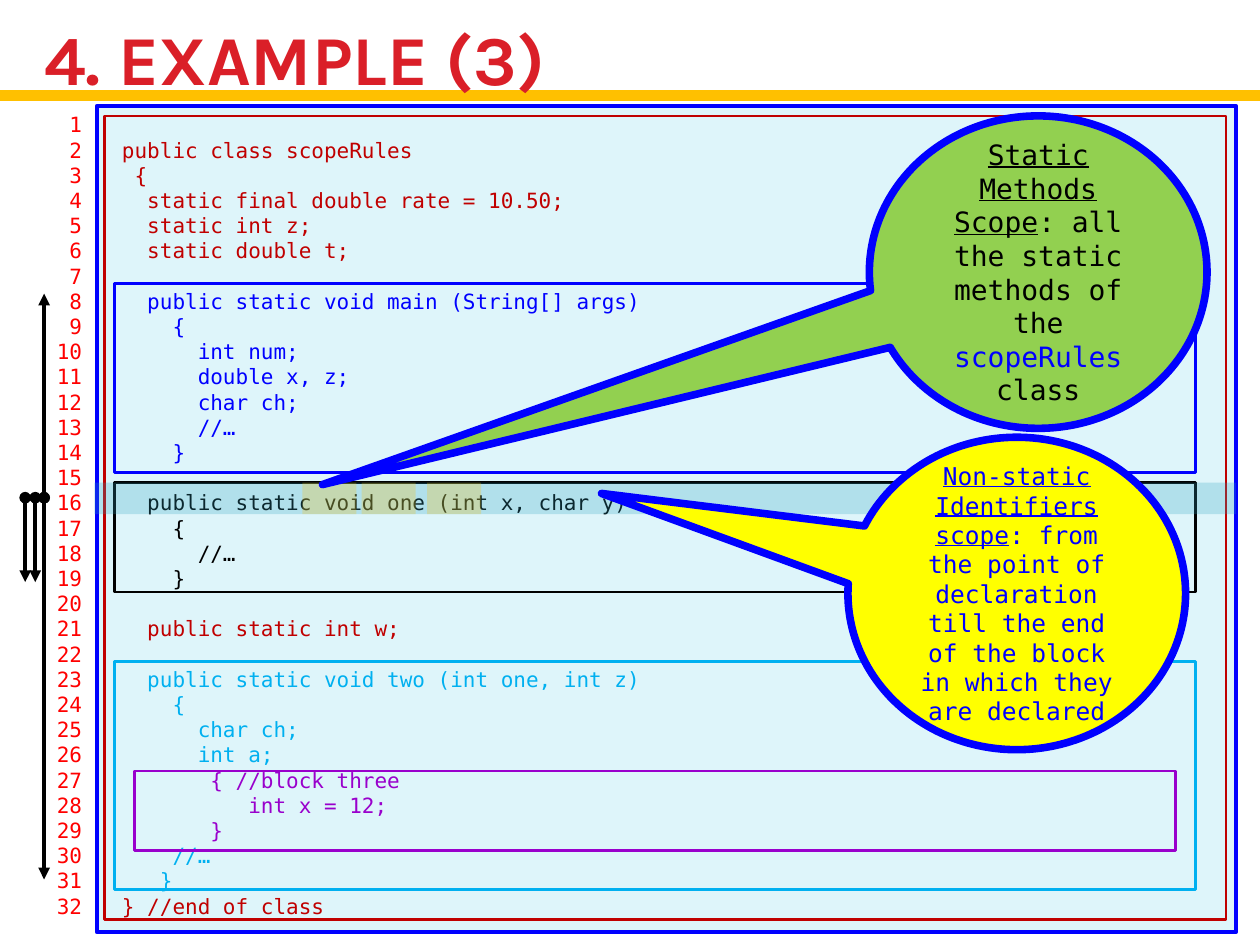
from lxml.etree import SubElement
from pptx import Presentation
from pptx.dml.color import RGBColor
from pptx.enum.shapes import MSO_CONNECTOR as Conn, MSO_SHAPE as Form
from pptx.enum.text import MSO_ANCHOR as Anchor, MSO_AUTO_SIZE as Auto, PP_ALIGN as Align
from pptx.oxml.ns import qn
from pptx.util import Inches, Pt

HEX = {
    "title": "DA1F28", "rule": "FFC000", "number": "FF0000", "page": "DEF5FA",
    "class": "C00000", "blue": "0000FF", "black": "000000", "sky": "00B0F0",
    "purple": "9900CC", "band": "2DA2BF", "yellow": "FFFF00", "green": "92D050",
}
MONO = "DejaVu Sans Mono"

# Source listing, one colour per block
CODE = [
    ("class", """
 public class scopeRules
  {
   static final double rate = 10.50;
   static int z;
   static double t;
"""),
    ("blue", """   public static void main (String[] args)
     {
       int num;
       double x, z;
       char ch;
       //…
     }
"""),
    ("black", """   public static void one (int x, char y)
     {
       //…
     }
"""),
    ("class", """   public static int w;
"""),
    ("sky", """   public static void two (int one, int z)
     {
       char ch;
       int a;"""),
    ("purple", """        { //block three
           int x = 12;
        }"""),
    ("sky", """     //…
    }"""),
    ("class", " } //end of class"),
]


class Deck:
    def __init__(self):
        self.prs = Presentation()
        self.prs.slide_width, self.prs.slide_height = Inches(10), Inches(7.5)
        self.slide = self.prs.slides.add_slide(self.prs.slide_layouts[5])
        self.shapes = self.slide.shapes

    def run(self, para, text, size, color, font=MONO, bold=False, under=False):
        run = para.add_run()
        run.text = text
        run.font.name, run.font.size = font, Pt(size)
        run.font.bold, run.font.underline = bold, under
        run.font.color.rgb = RGBColor.from_string(HEX[color])

    def title(self, text, box):
        title = self.shapes.title
        title.left, title.top, title.width, title.height = map(Inches, box)
        frame = title.text_frame
        frame.vertical_anchor = Anchor.MIDDLE
        para = frame.paragraphs[0]
        para.alignment = Align.LEFT
        self.run(para, text, 40, "title", "Karla", bold=True)

    def lines(self, shape, rows, align):
        """Fill a shape with one paragraph per (text, colour) row."""
        frame = shape.text_frame
        frame.word_wrap = True
        frame.auto_size = Auto.SHAPE_TO_FIT_TEXT
        frame.vertical_anchor = Anchor.TOP
        for i, (text, color) in enumerate(rows):
            para = frame.add_paragraph() if i else frame.paragraphs[0]
            para.alignment = align
            if text:
                self.run(para, text, 12, color)
            else:
                end = SubElement(para._p, qn("a:endParaRPr"), sz="1200")
                SubElement(end, qn("a:latin"), typeface=MONO)

    def text(self, box, rows, align):
        self.lines(self.shapes.add_textbox(*map(Inches, box)), rows, align)

    def shape(self, box, fill=None, line=None, width=1.5, alpha=None, form=Form.RECTANGLE):
        shape = self.shapes.add_shape(form, *map(Inches, box))
        shape.shadow.inherit = False
        if fill:
            shape.fill.solid()
            shape.fill.fore_color.rgb = RGBColor.from_string(HEX[fill])
        else:
            shape.fill.background()
        if alpha:
            tint = shape.fill._xPr.find(".//" + qn("a:srgbClr"))
            SubElement(tint, qn("a:alpha"), val=str(alpha * 1000))
        if line:
            shape.line.color.rgb = RGBColor.from_string(HEX[line])
            shape.line.width = Pt(width)
        else:
            shape.line.fill.background()
        return shape

    def callout(self, box, tip, fill, size, runs):
        shape = self.shape(box, fill, "blue", 4.33, form=Form.OVAL_CALLOUT)
        shape.adjustments[0], shape.adjustments[1] = tip
        frame = shape.text_frame
        frame.word_wrap = True
        frame.vertical_anchor = Anchor.MIDDLE
        para = frame.paragraphs[0]
        para.alignment = Align.CENTER
        for text, color, under in runs:
            self.run(para, text, size, color, under=under)

    def line(self, start, end, color, width, arrow=False):
        line = self.shapes.add_connector(Conn.STRAIGHT, *map(Inches, start + end))
        line.line.color.rgb = RGBColor.from_string(HEX[color])
        line.line.width = Pt(width)
        if arrow:
            ln = line.line._get_or_add_ln()
            SubElement(ln, qn("a:headEnd"), type="oval")
            SubElement(ln, qn("a:tailEnd"), type="triangle")
        SubElement(line._element.spPr, qn("a:effectLst"))
        return line


def main():
    deck = Deck()

    # Title over its rule
    deck.title("4. EXAMPLE (3)", (0.25, 0.13, 9.47, 0.65))
    rule = deck.line((0, 0.76), (10, 0.76), "rule", 6)
    deck.shapes.title.element.addprevious(rule.element)

    # Line numbers and code
    rows = [(row, color) for color, block in CODE for row in block.split("\n")]
    numbers = [(str(n), "number") for n in range(1, len(rows) + 1)]
    deck.text((0.2, 0.84, 0.55, 6.56), numbers, Align.RIGHT)
    page = deck.shape((0.77, 0.84, 9.04, 6.56), "page", "blue", 2.25)
    deck.lines(page, rows, Align.LEFT)

    # Scope frames: class, main, one, two, block three
    for color, *box in [
        ("class", 0.83, 0.92, 8.9, 6.38),
        ("blue", 0.91, 2.25, 8.58, 1.5),
        ("black", 0.91, 3.83, 8.58, 0.87),
        ("sky", 0.91, 5.25, 8.58, 1.81),
        ("purple", 1.07, 6.12, 8.26, 0.63),
    ]:
        deck.shape(box, line=color)

    # Highlights on line 16
    deck.shape((0.75, 3.83, 9.06, 0.25), "band", alpha=25)
    for x in (2.4, 2.87, 3.39):
        deck.shape((x, 3.83, 0.43, 0.25), "rule", alpha=25)

    # Scope arrows from line 16
    for x, y in [(0.35, 6.98), (0.35, 2.33), (0.28, 4.62), (0.2, 4.62)]:
        deck.line((x, 3.95), (x, y), "black", 2.25, arrow=True)

    # Callouts
    deck.callout((6.73, 3.47, 2.68, 2.48), (-1.23, -0.32), "yellow", 14, [
        ("Non-static Identifiers scope", "blue", True),
        (": from the point of declaration till the end of the block "
         "in which they are declared", "blue", False),
    ])
    deck.callout((6.9, 0.92, 2.68, 2.48), (-2.12, 0.68), "green", 16, [
        ("Static Methods Scope", "black", True),
        (": all the static methods of the ", "black", False),
        ("scopeRules ", "blue", False),
        ("class", "black", False),
    ])

    deck.prs.save("out.pptx")


if __name__ == "__main__":
    main()
